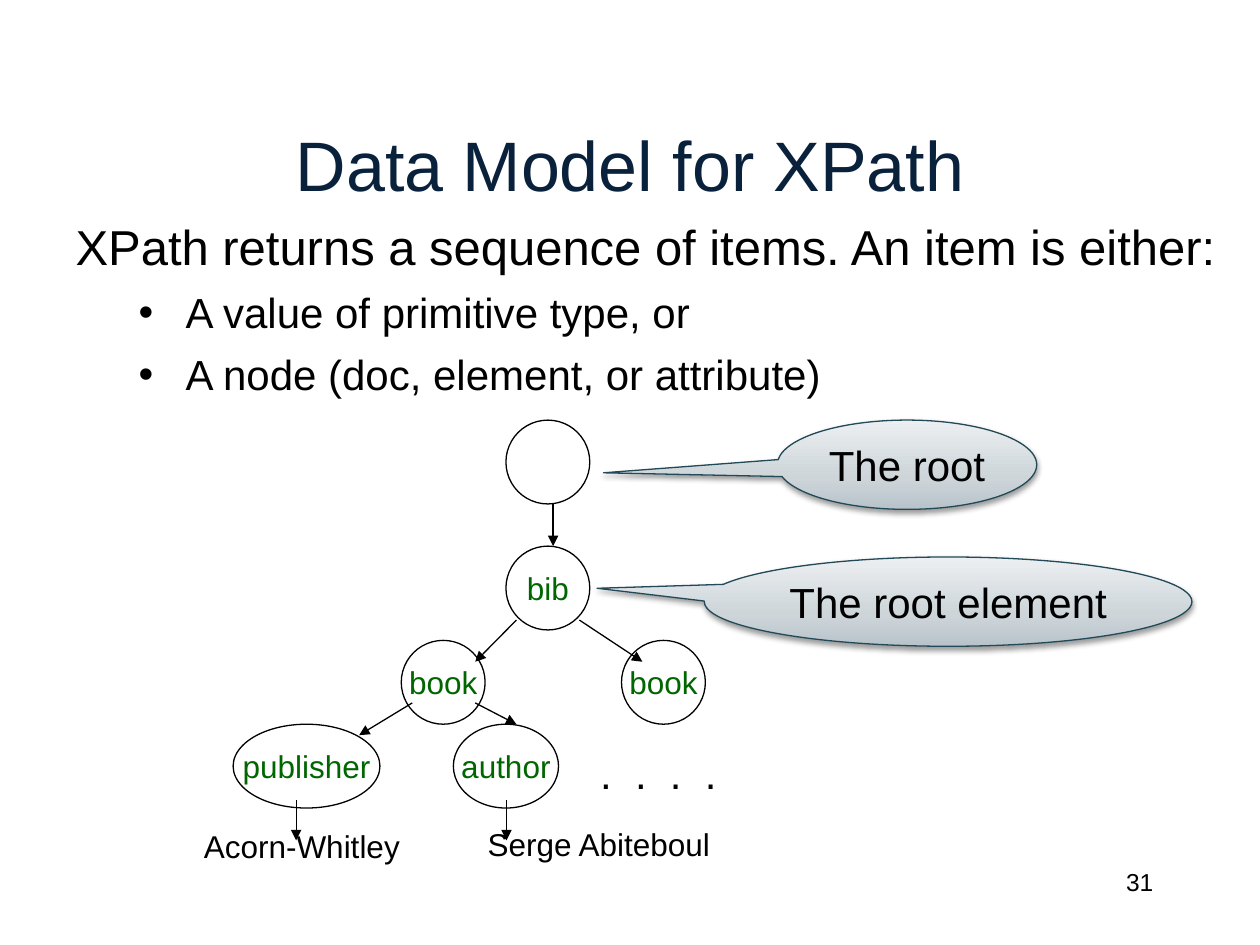
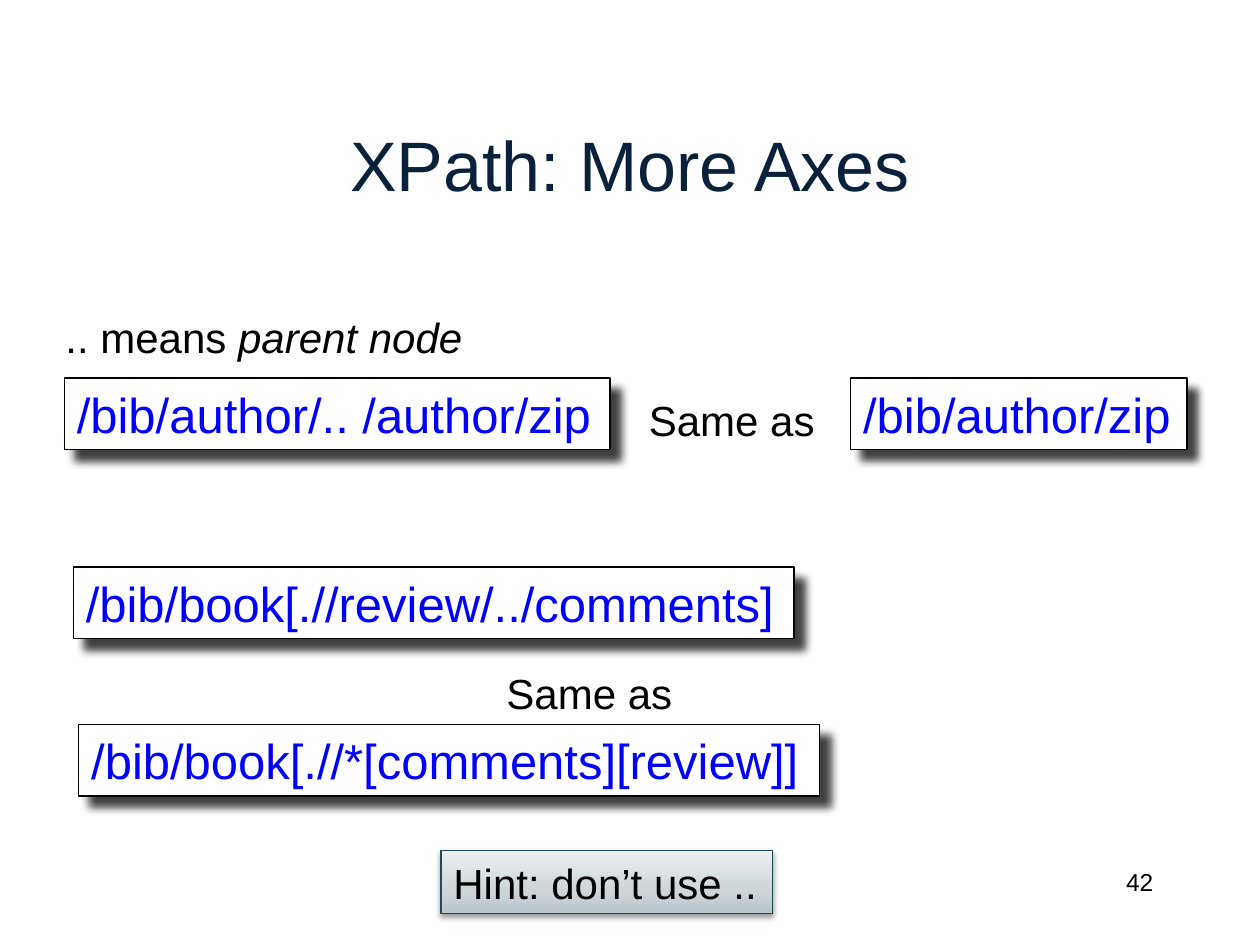
from lxml.etree import SubElement
from pptx import Presentation
from pptx.dml.color import RGBColor
from pptx.enum.shapes import MSO_CONNECTOR, MSO_SHAPE
from pptx.enum.text import MSO_ANCHOR, PP_ALIGN
from pptx.oxml.ns import qn
from pptx.util import Cm, Pt

BLACK = "000000"
WHITE = "FFFFFF"
TITLE_NAVY = "09213B"
ELEMENT_GREEN = "006600"
CODE_BLUE = "0000FF"
PANEL_LINE = "224957"
PANEL_STOPS = [(0, "B8C3CA"), (35, "CDD5D9"), (100, "ECEFF1")]
PANEL_SHADOW = {"blur": 3.1, "distance": 1.6, "angle": 90, "opacity": 38}
CODE_SHADOW = {"blur": 5, "distance": 8.5, "angle": 45, "opacity": 75}


def write_text(shape, text, size=24, color=BLACK, align=PP_ALIGN.LEFT,
               anchor=MSO_ANCHOR.TOP, wrap=False, italic_end=""):
    frame = shape.text_frame
    frame.text = text
    frame.word_wrap = wrap
    frame.vertical_anchor = anchor
    if italic_end:
        run = frame.paragraphs[-1].add_run()
        run.text = italic_end
        run.font.italic = True
    for paragraph in frame.paragraphs:
        paragraph.alignment = align
        for run in paragraph.runs:
            run.font.name = "Arial"
            run.font.size = Pt(size)
            run.font.color.rgb = RGBColor.from_string(color)


def paint_shape(shape, fill=None, stops=None, line=BLACK, shadow=None):
    properties = shape._element.spPr
    if stops:
        shape.fill.gradient()
        shape.fill.gradient_angle = 90
        stop_list = properties.find(qn("a:gradFill")).find(qn("a:gsLst"))
        for old_stop in list(stop_list):
            stop_list.remove(old_stop)
        for position, color in stops:
            stop = SubElement(stop_list, qn("a:gs"), pos=str(position * 1000))
            SubElement(stop, qn("a:srgbClr"), val=color)
    elif fill:
        shape.fill.solid()
        shape.fill.fore_color.rgb = RGBColor.from_string(fill)
    else:
        shape.fill.background()
    shape.line.color.rgb = RGBColor.from_string(line)
    shape.line.width = Pt(0.75)
    shape.shadow.inherit = False
    if shadow:
        outer = SubElement(properties.find(qn("a:effectLst")), qn("a:outerShdw"),
                           blurRad=str(Pt(shadow["blur"])), dist=str(Pt(shadow["distance"])),
                           dir=str(shadow["angle"] * 60000), rotWithShape="0")
        color = SubElement(outer, qn("a:srgbClr"), val=BLACK)
        SubElement(color, qn("a:alpha"), val=str(shadow["opacity"] * 1000))


presentation = Presentation()
presentation.slide_width = Cm(25.4)
presentation.slide_height = Cm(19.05)

slides = []
for layout_index, title_text, number in [(1, "Data Model for XPath", "31"),
                                         (5, "XPath: More Axes", "42")]:
    slide = presentation.slides.add_slide(presentation.slide_layouts[layout_index])
    title = slide.shapes.title
    title.left, title.top, title.width, title.height = Cm(1.9), Cm(1.7), Cm(21.6), Cm(3.18)
    write_text(title, title_text, size=40, color=TITLE_NAVY, align=PP_ALIGN.CENTER,
               anchor=MSO_ANCHOR.MIDDLE, wrap=True)
    number_box = slide.shapes.add_textbox(Cm(18.2), Cm(17.35), Cm(5.3), Cm(1.27))
    write_text(number_box, number, size=14, align=PP_ALIGN.RIGHT, wrap=True)
    slides.append(slide)
model_slide, axes_slide = slides

body = model_slide.placeholders[1]
body.left, body.top, body.width, body.height = Cm(1.27), Cm(4.24), Cm(23.7), Cm(12.7)
write_text(body, "XPath returns a sequence of items. An item is either:\n"
                 "A value of primitive type, or\n"
                 "A node (doc, element, or attribute)", size=28, wrap=True)
for index, paragraph in enumerate(body.text_frame.paragraphs):
    is_item = index > 0
    paragraph.level = 1 if is_item else 0
    paragraph.space_before = Pt(6.5 if is_item else 0)
    paragraph_properties = paragraph._p.get_or_add_pPr()
    paragraph_properties.set("marL", str(Cm(2.22 if is_item else 0.95)))
    paragraph_properties.set("indent", str(Cm(-0.95)))
    if is_item:
        SubElement(paragraph_properties, qn("a:buChar"), char="•")
        paragraph.runs[0].font.size = Pt(24)
    else:
        SubElement(paragraph_properties, qn("a:buNone"))

NODE_SIZE = 1.69
for label, left, top, width in [("", 10.2, 8.47, NODE_SIZE),
                                ("bib", 10.2, 11.01, NODE_SIZE),
                                ("book", 8.09, 12.91, NODE_SIZE),
                                ("book", 12.53, 12.91, NODE_SIZE),
                                ("publisher", 4.7, 14.6, 2.96),
                                ("author", 9.14, 14.6, 2.12)]:
    node = model_slide.shapes.add_shape(MSO_SHAPE.OVAL, Cm(left), Cm(top), Cm(width), Cm(NODE_SIZE))
    paint_shape(node)
    if label:
        write_text(node, label, size=18, color=ELEMENT_GREEN, align=PP_ALIGN.CENTER,
                   anchor=MSO_ANCHOR.MIDDLE)

for start_x, start_y, end_x, end_y in [(11.15, 10.16, 11.15, 11.01),
                                       (10.41, 12.5, 9.58, 13.34),
                                       (11.68, 12.5, 12.95, 13.34),
                                       (8.31, 14.17, 7.24, 14.82),
                                       (9.58, 14.17, 10.41, 14.6),
                                       (5.97, 16.13, 5.97, 16.94),
                                       (10.21, 16.13, 10.21, 16.94)]:
    arrow = model_slide.shapes.add_connector(MSO_CONNECTOR.STRAIGHT, Cm(start_x), Cm(start_y),
                                             Cm(end_x), Cm(end_y))
    arrow.line.color.rgb = RGBColor.from_string(BLACK)
    arrow.line.width = Pt(0.75)
    SubElement(arrow.line._get_or_add_ln(), qn("a:tailEnd"), type="triangle")
    SubElement(arrow._element.spPr, qn("a:effectLst"))

more_nodes = model_slide.shapes.add_textbox(Cm(11.85), Cm(14.94), Cm(2.9), Cm(1.27))
write_text(more_nodes, ". . . .")
more_nodes.text_frame.paragraphs[0].runs[0]._r.get_or_add_rPr().set("spc", "333")

for value, left, top, width in [("Acorn-Whitley", 3.86, 16.54, 5.18),
                                ("Serge Abiteboul", 9.58, 16.51, 5.03)]:
    value_box = model_slide.shapes.add_textbox(Cm(left), Cm(top), Cm(width), Cm(1.02))
    write_text(value_box, value, size=18)

for label, left, top, width, tip_x, tip_y in [("The root", 15.67, 8.47, 5.23, -1.17, 0.09),
                                              ("The root element", 14.2, 11.23, 9.83, -0.72, -0.15)]:
    callout = model_slide.shapes.add_shape(MSO_SHAPE.OVAL_CALLOUT, Cm(left), Cm(top),
                                           Cm(width), Cm(1.8))
    callout.adjustments[0] = tip_x
    callout.adjustments[1] = tip_y
    paint_shape(callout, stops=PANEL_STOPS, line=PANEL_LINE, shadow=PANEL_SHADOW)
    write_text(callout, label, align=PP_ALIGN.CENTER, anchor=MSO_ANCHOR.MIDDLE)

for text, italic_end, left, top, width in [(".. means ", "parent node", 1.07, 6.15, 8.59),
                                           ("Same as", "", 12.83, 7.82, 3.89),
                                           ("Same as", "", 9.96, 13.34, 3.89)]:
    caption = axes_slide.shapes.add_textbox(Cm(left), Cm(top), Cm(width), Cm(1.27))
    write_text(caption, text, italic_end=italic_end)

for expression, left, top, width in [("/bib/author/.. /author/zip", 1.3, 7.62, 11),
                                     ("/bib/author/zip", 17.15, 7.62, 6.78),
                                     ("/bib/book[.//review/../comments]", 1.48, 11.43, 14.53),
                                     ("/bib/book[.//*[comments][review]]", 1.59, 14.6, 14.93)]:
    code_box = axes_slide.shapes.add_shape(MSO_SHAPE.RECTANGLE, Cm(left), Cm(top),
                                           Cm(width), Cm(1.45))
    paint_shape(code_box, fill=WHITE, shadow=CODE_SHADOW)
    write_text(code_box, expression, size=28, color=CODE_BLUE, anchor=MSO_ANCHOR.MIDDLE)

hint = axes_slide.shapes.add_shape(MSO_SHAPE.RECTANGLE, Cm(8.89), Cm(17.15), Cm(6.69), Cm(1.27))
paint_shape(hint, stops=PANEL_STOPS, line=PANEL_LINE, shadow=PANEL_SHADOW)
write_text(hint, "Hint: don’t use ..", anchor=MSO_ANCHOR.MIDDLE)

presentation.save("out.pptx")
